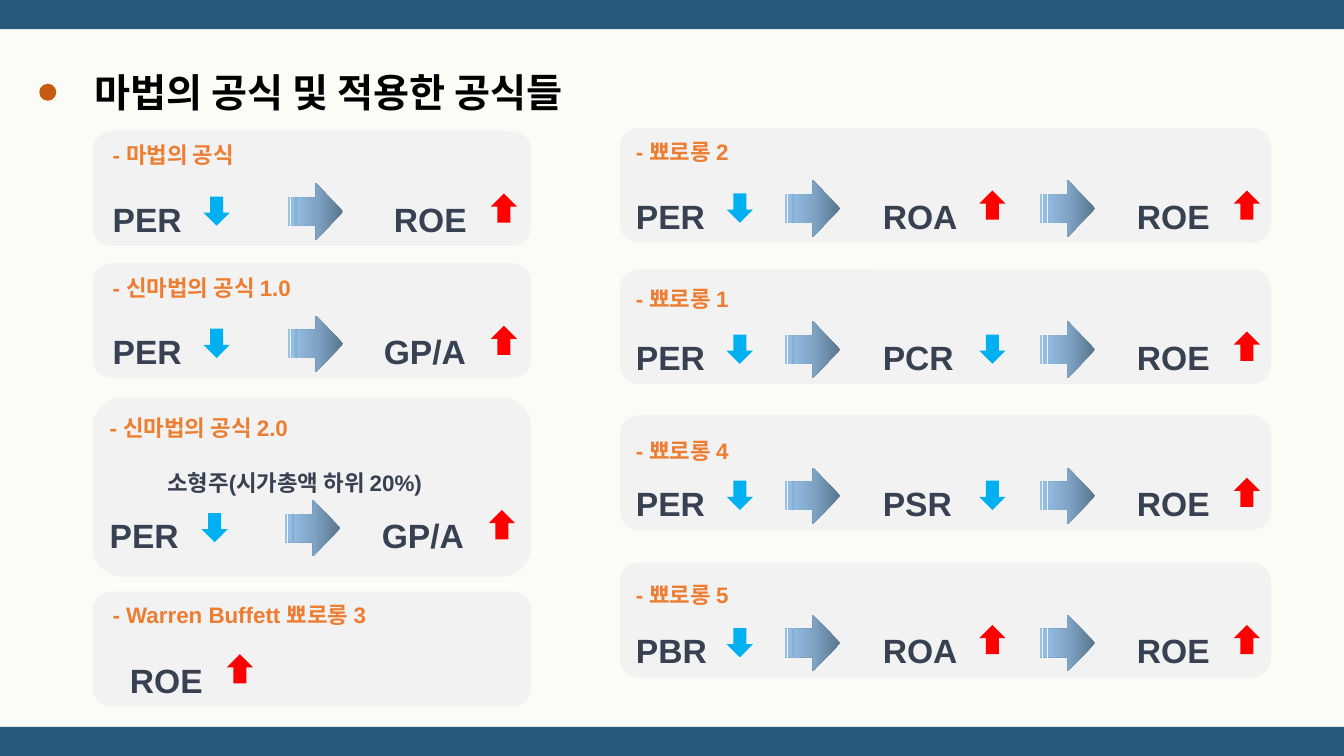
import pptx
import pptx.util
import pptx.dml.color
import pptx.enum.shapes
import pptx.enum.text
import pptx.oxml
import pptx.oxml.ns

Pt = pptx.util.Pt
KIND = pptx.enum.shapes.MSO_SHAPE
FIT = pptx.enum.text.MSO_AUTO_SIZE
ALIGN = pptx.enum.text.PP_ALIGN
ANCHOR = pptx.enum.text.MSO_ANCHOR

WIDE, HIGH, BAND = 960, 540, 20.9
FONT = "Arial"
COLORS = {
    "page": "FCFCF6", "band": "275A7D", "panel": "F2F2F2", "dot": "C55A11",
    "title": "000000", "name": "ED7D31", "word": "374151",
    "down": "00B0F0", "up": "FF0000",
}
FADE = [(0, "5A748B"), (50, "7FA5C6"), (100, "97C3EB")]
MARKS = {"down": (KIND.DOWN_ARROW, 9.4), "up": (KIND.UP_ARROW, 7.2)}

LEFT = [
    (93.6, 82.1, 97.2, 73.4, "- 마법의 공식", 113, 131,
     [(73.4, "PER", 145.4, "down"), (274.3, "ROE", 350.6, "up")], [205.9]),
    (187.9, 82.1, 192.2, 73.4, "- 신마법의 공식 1.0", 158.4, 225.4,
     [(73.4, "PER", 145.4, "down"), (267.1, "GP/A", 350.6, "up")], [205.9]),
    (283.7, 128.2, 292.3, 71.3, "- 신마법의 공식 2.0", 158.4, 357.1,
     [(71.3, "PER", 144, "down"), (265.7, "GP/A", 349.2, "up")], [203.8]),
    (422.6, 82.1, 426.2, 73.4, "- Warren Buffett 뾰로롱 3", 211, 460.1,
     [(85.7, "ROE", 162, "up")], []),
]
RIGHT = [
    (91.4, 95, "- 뾰로롱 2", 95.8, [("PER", "down"), ("ROA", "up"), ("ROE", "up")]),
    (192.2, 200.2, "- 뾰로롱 1", 90.7, [("PER", "down"), ("PCR", "down"), ("ROE", "up")]),
    (296.6, 308.9, "- 뾰로롱 4", 90.7, [("PER", "down"), ("PSR", "down"), ("ROE", "up")]),
    (401.8, 411.8, "- 뾰로롱 5", 90.7, [("PBR", "down"), ("ROA", "up"), ("ROE", "up")]),
]
SPOTS = [(447.1, 519.1), (623.5, 699.5), (805, 881.3)]
TURNS = [560.9, 743]


def tint(key):
    return pptx.dml.color.RGBColor.from_string(COLORS[key])


def shape(slide, kind, x, y, w, h, color=None):
    item = slide.shapes.add_shape(kind, Pt(x), Pt(y), Pt(w), Pt(h))
    item.shadow.inherit = False
    item.line.fill.background()
    if color:
        item.fill.solid()
        item.fill.fore_color.rgb = tint(color)
    return item


def write(frame, words, size, color, wrap=False, space=None):
    frame.word_wrap = wrap
    frame.auto_size = FIT.SHAPE_TO_FIT_TEXT
    para = frame.paragraphs[0]
    if space:
        para.line_spacing = space
    run = para.add_run()
    run.text = words
    run.font.name = FONT
    run.font.size = Pt(size)
    run.font.bold = True
    run.font.color.rgb = tint(color)
    return para


def label(slide, x, y, w, h, words, size, color, wrap=False, space=None):
    box = slide.shapes.add_textbox(Pt(x), Pt(y), Pt(w), Pt(h))
    write(box.text_frame, words, size, color, wrap, space)


def title(slide, words):
    item = slide.shapes.title
    item.left, item.top, item.width, item.height = Pt(60.5), Pt(45.4), Pt(393.8), Pt(41.2)
    item.text_frame.vertical_anchor = ANCHOR.TOP
    para = write(item.text_frame, words, 28, "title", space=1.0)
    para.alignment = ALIGN.JUSTIFY
    para.space_before = Pt(0)


def arrow(slide, x, y):
    item = shape(slide, KIND.STRIPED_RIGHT_ARROW, x, y, 39.4, 40.3)
    item.fill.gradient()
    item.fill.gradient_angle = 180
    stops = item.fill._fill._gradFill.find(pptx.oxml.ns.qn("a:gsLst"))
    for stop in list(stops):
        stops.remove(stop)
    for part, color in FADE:
        stops.append(pptx.oxml.parse_xml(
            f'<a:gs {pptx.oxml.ns.nsdecls("a")} pos="{part * 1000}">'
            f'<a:srgbClr val="{color}"/></a:gs>'))


def step(slide, x, y, word, spot, mark):
    wide = 126.7 if len(word) > 3 else 85
    label(slide, x, y - 6.9, wide, 45.4, word, 24, "word", True, 1.5)
    kind, drop = MARKS[mark]
    shape(slide, kind, spot, y + drop, 18.7, 20.9, mark)


def card(slide, x, y, w, h, name, base, steps, turns):
    shape(slide, KIND.ROUNDED_RECTANGLE, x, y, w, h, "panel")
    label(slide, *name, 16, "name")
    for left, word, spot, mark in steps:
        step(slide, left, base, word, spot, mark)
    for turn in turns:
        arrow(slide, turn, base)


def main():
    deck = pptx.Presentation()
    deck.slide_width, deck.slide_height = Pt(WIDE), Pt(HIGH)
    slide = deck.slides.add_slide(deck.slide_layouts[5])
    slide.background.fill.solid()
    slide.background.fill.fore_color.rgb = tint("page")
    for y in (0, HIGH - BAND):
        shape(slide, KIND.RECTANGLE, 0, y, WIDE, BAND, "band")
    title(slide, "마법의 공식 및 적용한 공식들")
    shape(slide, KIND.OVAL, 28.1, 59.8, 12.2, 12.2, "dot")
    for y, h, top, x, words, wide, base, steps, turns in LEFT:
        card(slide, 66.2, y, 313.2, h, (x, top, wide, 26.6, words), base, steps, turns)
    label(slide, 112.3, 321.8, 324.7, 32.4, "소형주(시가총액 하위 20%)", 16, "word", True, 1.5)
    for y, top, words, wide, pairs in RIGHT:
        steps = [(x, word, spot, mark) for (x, spot), (word, mark) in zip(SPOTS, pairs)]
        card(slide, 442.8, y, 465.1, 82.1, (447.1, top, wide, 26.6, words), y + 37.4, steps, TURNS)
    deck.save("out.pptx")


if __name__ == "__main__":
    main()
